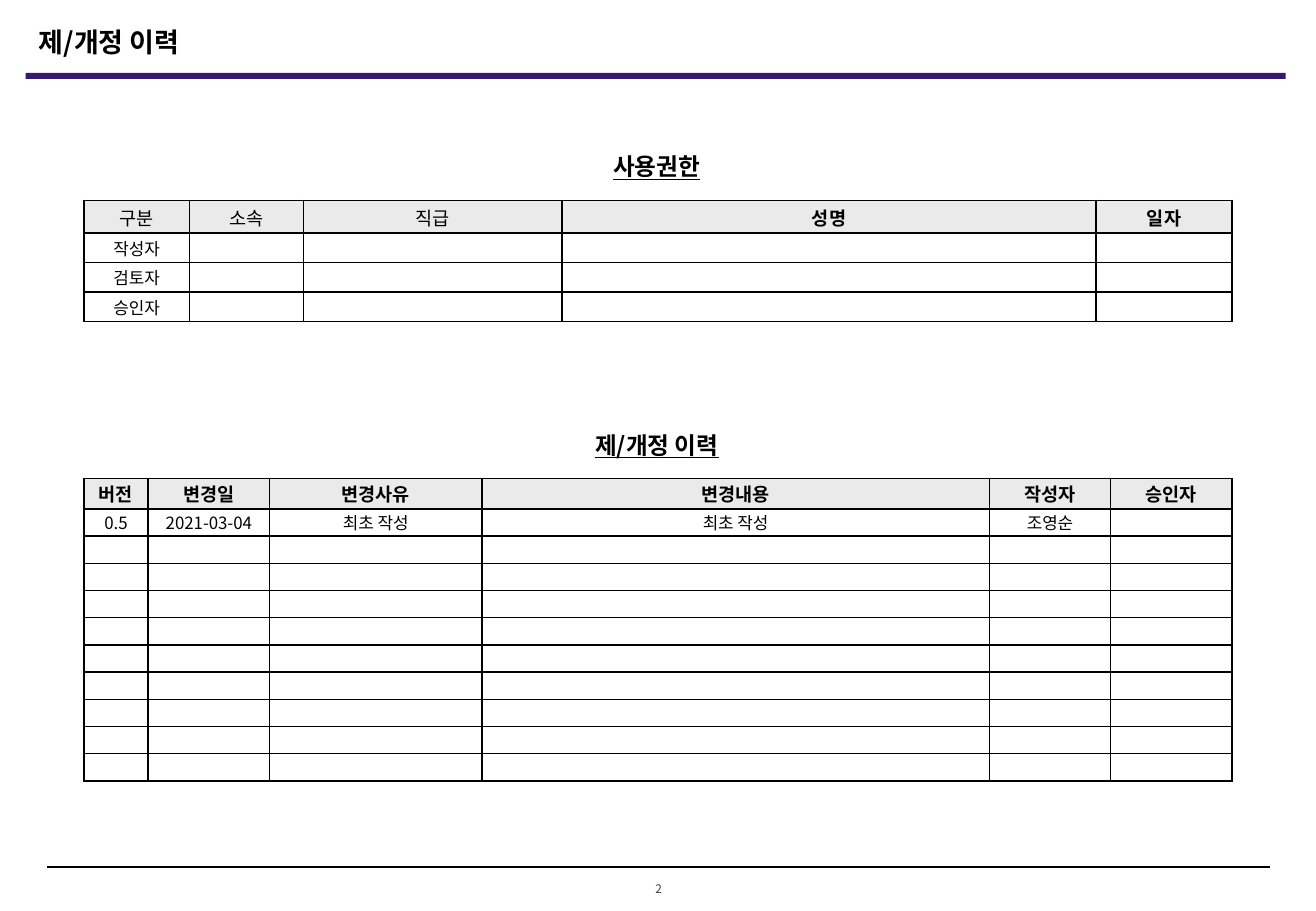
"""Build the revision-history slide with its two sign-off tables."""
import dataclasses
import typing

import lxml.etree
import pptx
import pptx.dml.color
import pptx.enum.shapes
import pptx.enum.text
import pptx.oxml.ns
import pptx.util

qn = pptx.oxml.ns.qn
ALIGN = pptx.enum.text.PP_ALIGN
ANCHOR = pptx.enum.text.MSO_ANCHOR


@dataclasses.dataclass(frozen=True)
class Theme:
    """Colours and type sizes."""
    face: str = "Noto Sans CJK KR"
    ink: str = "000000"
    gray: str = "404040"
    bar: str = "351B6F"
    head: str = "EAEAEA"
    title: float = 16
    label: float = 14
    top: float = 11
    body: float = 10
    blank: float = 8
    page: float = 7


class Box(typing.NamedTuple):
    """Place and size in percent of the slide."""
    left: float
    top: float
    wide: float
    high: float


class Style(typing.NamedTuple):
    """Look of one paragraph."""
    size: float
    bold: bool = False
    line: bool = False
    ink: str = Theme.ink
    align: ALIGN = ALIGN.CENTER


class Label(typing.NamedTuple):
    """A centred line of text."""
    text: str
    box: Box
    style: Style


class Grid(typing.NamedTuple):
    """A table: column widths, header row and body rows."""
    box: Box
    cols: list[float]
    first: float
    heads: list[str]
    bold: list[bool]
    rows: list[list[str]]
    anchor: ANCHOR


THEME = Theme()
WIDE, HIGH = pptx.util.Inches(10.83), pptx.util.Inches(7.5)
PAD = [pptx.util.Inches(gap) for gap in (0.02, 0.01, 0.02, 0.01)]
HEAD = Style(THEME.label, True, True)
TITLE = "제/개정 이력"

LABELS = [
    Label("사용권한", Box(43.4, 16.53, 13.02, 3.47), HEAD),
    Label(TITLE, Box(43.4, 47.07, 13.02, 3.47), HEAD),
    Label("2", Box(46.26, 96.8, 7.57, 1.6), Style(THEME.page, ink=THEME.gray)),
]
GRIDS = [
    Grid(Box(6.37, 22, 87.26, 13.33), [0.87, 0.94, 2.13, 4.4, 1.12], 3.6,
         ["구분", "소속", "직급", "성명", "일자"],
         [False] * 3 + [True] * 2,
         [["작성자"], ["검토자"], ["승인자"]], ANCHOR.MIDDLE),
    Grid(Box(6.37, 52.53, 87.26, 33.2), [0.53, 1, 1.75, 4.18, 1, 1], 3.33,
         ["버전", "변경일", "변경사유", "변경내용", "작성자", "승인자"],
         [True] * 6,
         [["0.5", "2021-03-04", "최초 작성", "최초 작성", "조영순"]] + [[]] * 9,
         ANCHOR.TOP),
]


def across(share: float) -> int:
    """Turn a percent of the width into a length."""
    return round(WIDE * share / 100)


def down(share: float) -> int:
    """Turn a percent of the height into a length."""
    return round(HIGH * share / 100)


def place(box: Box) -> tuple[int, int, int, int]:
    """Turn a box into lengths."""
    return across(box.left), down(box.top), across(box.wide), down(box.high)


def color(code: str) -> pptx.dml.color.RGBColor:
    """Read a colour code."""
    return pptx.dml.color.RGBColor.from_string(code)


def write(frame, text: str, style: Style) -> None:
    """Fill a text frame with one styled paragraph."""
    para = frame.paragraphs[0]
    para.text = text
    para.alignment = style.align
    font = para.font
    font.name, font.size = THEME.face, pptx.util.Pt(style.size)
    font.bold, font.underline = style.bold, style.line
    font.color.rgb = color(style.ink)
    base = para._p.pPr.find(qn("a:defRPr"))
    lxml.etree.SubElement(base, qn("a:ea"), typeface=THEME.face)
    if not text:
        size = str(round(style.size * 100))
        lxml.etree.SubElement(para._p, qn("a:endParaRPr"), sz=size)


def inset(item) -> None:
    """Set narrow margins on a cell or text frame."""
    (item.margin_left, item.margin_top,
     item.margin_right, item.margin_bottom) = PAD


def border(cell) -> None:
    """Draw the four sides of a cell."""
    props = cell._tc.get_or_add_tcPr()
    for side in "LRTB":
        line = lxml.etree.SubElement(props, qn(f"a:ln{side}"),
                                     w=str(pptx.util.Pt(1)))
        fill = lxml.etree.SubElement(line, qn("a:solidFill"))
        lxml.etree.SubElement(fill, qn("a:srgbClr"), val=THEME.ink)


def add_label(slide, label: Label) -> None:
    """Add a text box."""
    frame = slide.shapes.add_textbox(*place(label.box)).text_frame
    frame.word_wrap = True
    frame.vertical_anchor = ANCHOR.MIDDLE
    inset(frame)
    write(frame, label.text, label.style)


def add_grid(slide, grid: Grid) -> None:
    """Add a bordered table with a shaded header."""
    count = len(grid.rows)
    table = slide.shapes.add_table(count + 1, len(grid.cols),
                                   *place(grid.box)).table
    table.first_row = table.horz_banding = False
    for col, part in zip(table.columns, grid.cols):
        col.width = across(grid.box.wide * part / sum(grid.cols))
    rest = (grid.box.high - grid.first) / count
    for at, row in enumerate(table.rows):
        row.height = down(rest if at else grid.first)
        texts = grid.rows[at - 1] if at else grid.heads
        for spot, cell in enumerate(row.cells):
            text = texts[spot] if spot < len(texts) else ""
            border(cell)
            inset(cell)
            if at:
                cell.fill.background()
                cell.vertical_anchor = grid.anchor
                style = Style(THEME.body if text else THEME.blank)
            else:
                cell.fill.solid()
                cell.fill.fore_color.rgb = color(THEME.head)
                cell.vertical_anchor = ANCHOR.MIDDLE
                style = Style(THEME.top, grid.bold[spot])
            write(cell.text_frame, text, style)


def add_frame(slide) -> None:
    """Add the title, the bar below it and the footer line."""
    title = slide.shapes.title
    title.left, title.top, title.width, title.height = place(
        Box(2.03, 2.13, 29.09, 4.93))
    title.text_frame.vertical_anchor = ANCHOR.TOP
    write(title.text_frame, TITLE,
          Style(THEME.title, True, align=ALIGN.LEFT))
    bar = slide.shapes.add_shape(pptx.enum.shapes.MSO_SHAPE.RECTANGLE,
                                 *place(Box(1.94, 8, 95.75, 0.67)))
    bar.shadow.inherit = False
    bar.fill.solid()
    bar.fill.fore_color.rgb = color(THEME.bar)
    bar.line.fill.background()
    foot = slide.shapes.add_connector(
        pptx.enum.shapes.MSO_CONNECTOR.STRAIGHT,
        across(3.6), down(95.2), across(96.49), down(95.2))
    foot.line.color.rgb = color(THEME.ink)
    foot.line.width = pptx.util.Pt(1)
    lxml.etree.SubElement(foot._element.spPr, qn("a:effectLst"))


def main() -> None:
    """Build and save the slide."""
    deck = pptx.Presentation()
    deck.slide_width, deck.slide_height = WIDE, HIGH
    slide = deck.slides.add_slide(deck.slide_layouts.get_by_name("Title Only"))
    add_frame(slide)
    for label in LABELS:
        add_label(slide, label)
    for grid in GRIDS:
        add_grid(slide, grid)
    deck.save("out.pptx")


main()
